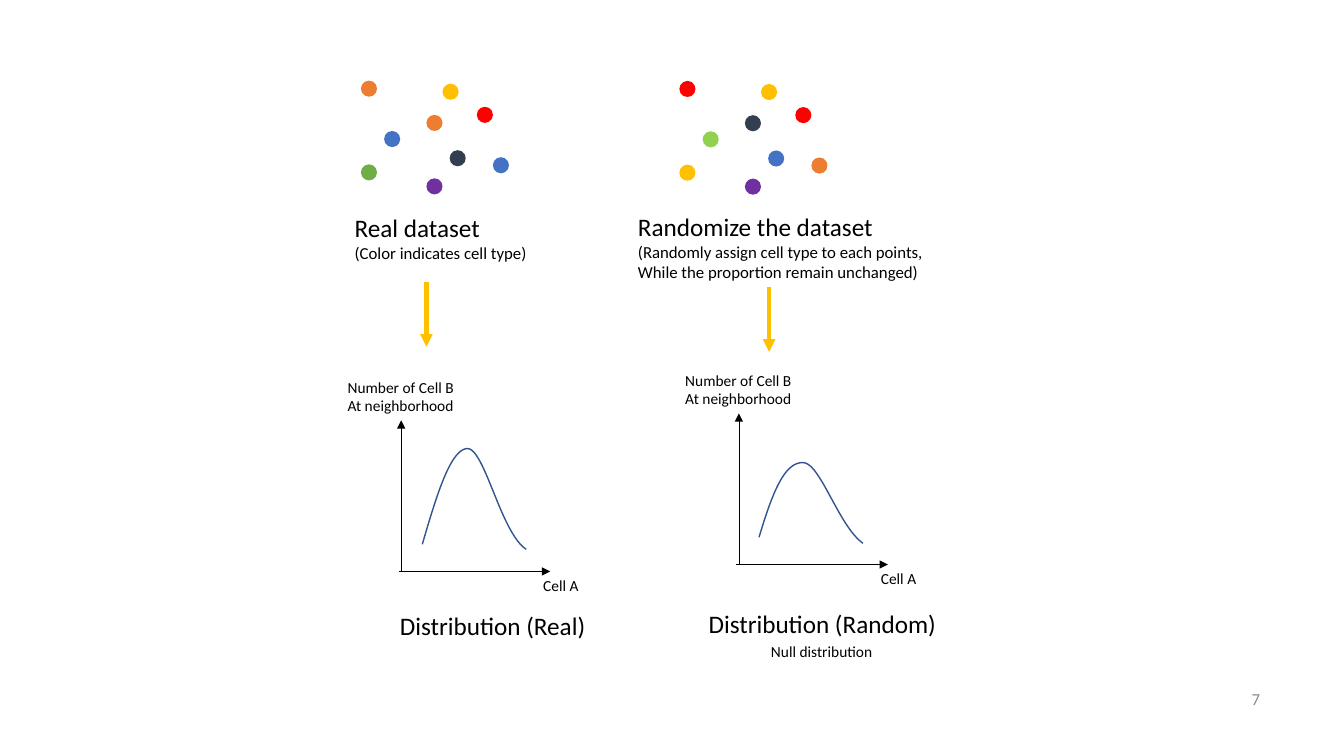
from lxml import etree
from pptx import Presentation, util as u
from pptx.dml.color import RGBColor
from pptx.enum import shapes, text
from pptx.oxml.ns import qn

COLORS = {
    "black": "000000", "gray": "8C8C8C", "orange": "ED7D31",
    "green": "70AD47", "lime": "92D050", "purple": "7030A0",
    "red": "FF0000", "gold": "FFC000", "blue": "4472C4",
    "navy": "333F50", "curve": "325491",
}
DOT_SIZE = 11.5
DOT_OFFSETS = [(46.8, 24.5), (0, 59.8), (46.8, 69.8), (82.8, 18.7), (0, 0),
               (58.3, 2.2), (94.3, 54.7), (16.6, 36), (63.4, 49.7)]
CURVE_STEPS = 24

PANELS = [
    {
        "dots_at": (257.8, 57.6),
        "dots": ["orange", "green", "purple", "red", "orange",
                 "gold", "blue", "blue", "navy"],
        "heading_box": (246.2, 148.3, 149.8, 43.9),
        "heading": [("Real dataset", 18), ("(Color indicates cell type)", 12)],
        "arrow_at": (304.6, 201.6),
        "origin": (286.6, 408.2),
        "curve": [(15.1, -19.4), (25.2, -54), (35.3, -87.8), (47.5, -87.8),
                  (59.8, -87.1), (71.3, -27.4), (89.3, -15.8)],
        "caption_box": (278.6, 432.7, 149, 28.8),
        "caption": "Distribution (Real)",
    },
    {
        "dots_at": (485.3, 57.8),
        "dots": ["navy", "gold", "purple", "red", "red",
                 "gold", "orange", "lime", "blue"],
        "heading_box": (448.6, 147.6, 220.3, 58.3),
        "heading": [("Randomize the dataset", 18),
                    ("(Randomly assign cell type to each points,", 12),
                    ("While the proportion remain unchanged)", 12)],
        "arrow_at": (549.4, 205.2),
        "origin": (527.8, 403.2),
        "curve": [(14.4, -19.4), (24.5, -53.3), (33.1, -73.4), (46.1, -72.7),
                  (58.3, -72), (71.3, -27.4), (88.6, -15.1)],
        "caption_box": (499, 431.3, 179.3, 28.8),
        "caption": "Distribution (Random)",
    },
]


def bezier(a, b, c, d):
    for step in range(1, CURVE_STEPS + 1):
        t = step / CURVE_STEPS
        s = 1 - t
        yield tuple(s**3 * p + 3 * s * s * t * q + 3 * s * t * t * r + t**3 * e
                    for p, q, r, e in zip(a, b, c, d))


class Sketch:
    font = "Calibri"

    def __init__(self, slide):
        self.slide = slide

    def color(self, name):
        return RGBColor.from_string(COLORS[name])

    def text(self, box, lines, color="black", align=text.PP_ALIGN.LEFT):
        sp = self.slide.shapes.add_textbox(*map(u.Pt, box))
        tf = sp.text_frame
        tf.word_wrap = False
        tf.text = "\n".join(line for line, size in lines)
        for p, (line, size) in zip(tf.paragraphs, lines):
            p.alignment = align
            font = p.runs[0].font
            font.name, font.size = self.font, u.Pt(size)
            font.color.rgb = self.color(color)
        return sp

    def dot(self, x, y, color):
        sp = self.slide.shapes.add_shape(
            shapes.MSO_SHAPE.OVAL, *map(u.Pt, (x, y, DOT_SIZE, DOT_SIZE)))
        sp.shadow.inherit = False
        sp.fill.solid()
        sp.fill.fore_color.rgb = self.color(color)
        sp.line.fill.background()

    def arrow(self, start, end, color, width):
        sp = self.slide.shapes.add_connector(
            shapes.MSO_CONNECTOR.STRAIGHT, *map(u.Pt, (*start, *end)))
        sp.line.color.rgb = self.color(color)
        sp.line.width = u.Pt(width)
        ln = sp.line._get_or_add_ln()
        etree.SubElement(ln, qn("a:tailEnd"), type="triangle")
        etree.SubElement(sp._element.spPr, qn("a:effectLst"))

    def curve(self, origin, controls):
        knots = [(origin[0] + x, origin[1] + y) for x, y in controls]
        points = [*bezier(*knots[:4]), *bezier(*knots[3:])]
        builder = self.slide.shapes.build_freeform(*map(u.Pt, knots[0]))
        builder.add_line_segments(
            [tuple(map(u.Pt, point)) for point in points], close=False)
        sp = builder.convert_to_shape()
        sp.shadow.inherit = False
        sp.fill.background()
        sp.line.color.rgb = self.color("curve")
        sp.line.width = u.Pt(1)

    def graph(self, origin, controls):
        x, y = origin
        self.arrow((x, y), (x, y - 108), "black", 0.5)
        self.arrow((x - 1.8, y), (x + 106.4, y), "black", 0.5)
        self.text((x + 94.3, y, 40.3, 20.9), [("Cell A", 11)])
        self.text((x - 45.4, y - 141.8, 90.7, 33.8),
                  [("Number of Cell B", 11), ("At neighborhood", 11)])
        self.curve(origin, controls)

    def panel(self, panel):
        x, y = panel["dots_at"]
        for (dx, dy), color in zip(DOT_OFFSETS, panel["dots"]):
            self.dot(x + dx, y + dy, color)
        self.text(panel["heading_box"], panel["heading"])
        x, y = panel["arrow_at"]
        self.arrow((x, y), (x, y + 46.1), "gold", 3)
        self.graph(panel["origin"], panel["curve"])
        self.text(panel["caption_box"], [(panel["caption"], 18)])


def main():
    prs = Presentation()
    prs.slide_width, prs.slide_height = u.Pt(960), u.Pt(540)
    sketch = Sketch(prs.slides.add_slide(prs.slide_layouts[6]))
    for panel in PANELS:
        sketch.panel(panel)
    sketch.text((543.6, 455, 87.1, 20.9), [("Null distribution", 11)])
    number = sketch.text((678.2, 491, 229, 16.6), [("7", 12)],
                         "gray", text.PP_ALIGN.RIGHT)
    number.text_frame.word_wrap = True
    number.text_frame.vertical_anchor = text.MSO_ANCHOR.MIDDLE
    prs.save("out.pptx")


if __name__ == "__main__":
    main()
